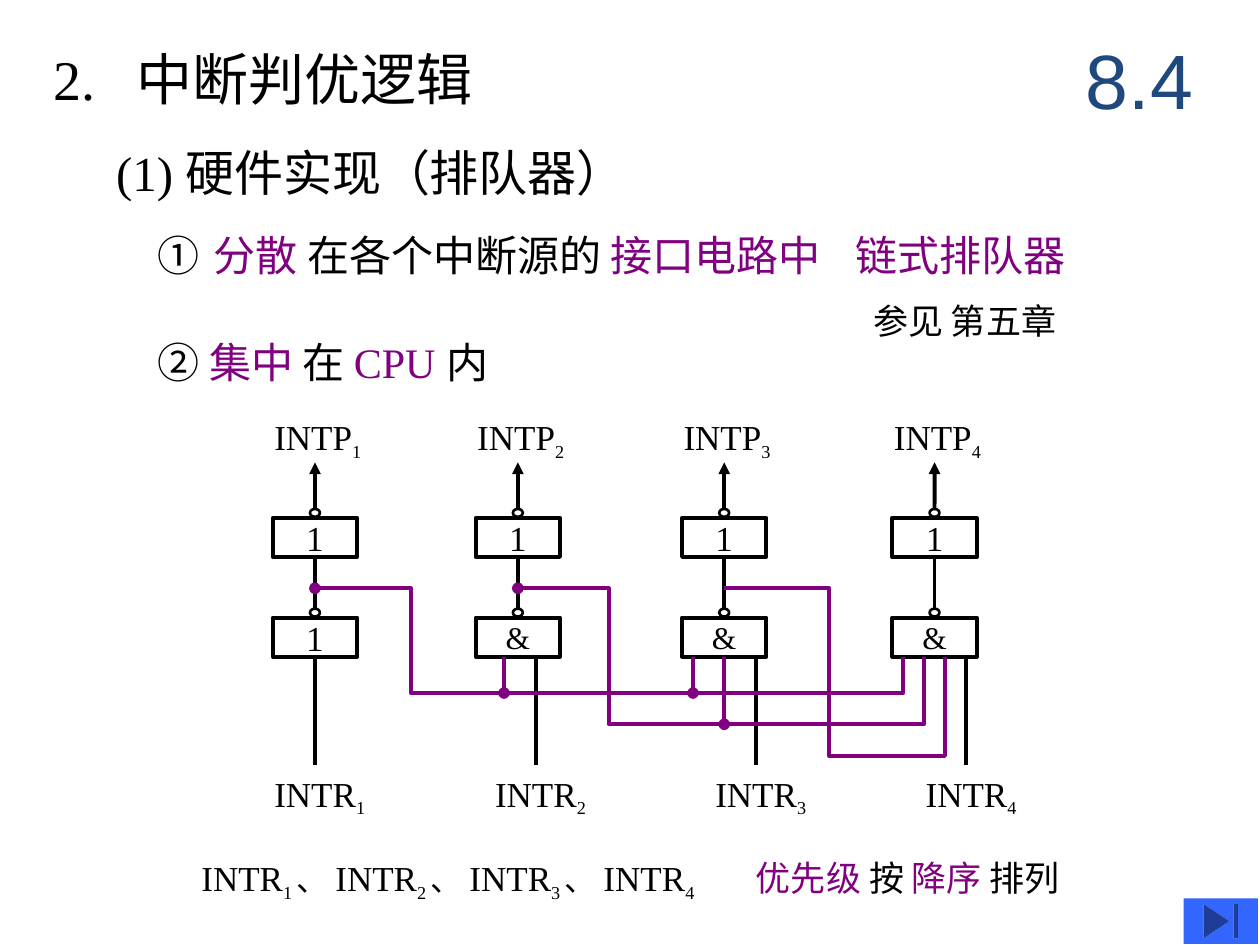
from typing import NamedTuple

from lxml import etree
from pptx import Presentation
from pptx.dml.color import RGBColor
from pptx.enum.shapes import MSO_CONNECTOR, MSO_SHAPE
from pptx.enum.text import MSO_ANCHOR, PP_ALIGN
from pptx.oxml.ns import qn
from pptx.util import Cm, Pt

LINE = MSO_CONNECTOR.STRAIGHT
RECT, OVAL, END = MSO_SHAPE.RECTANGLE, MSO_SHAPE.OVAL, MSO_SHAPE.ACTION_BUTTON_END
TOP, MID = MSO_ANCHOR.TOP, MSO_ANCHOR.MIDDLE
LEFT, MIDDLE = PP_ALIGN.LEFT, PP_ALIGN.CENTER
SIDE_TOP, SIDE_LOW = 0, 2
COLORS = {"ink": "000000", "net": "800080", "title": "1F497D", "button": "3366FF"}
SERIF = "Times New Roman"

# Circuit rows and gate size, in cm
GATE_W, GATE_H = 1.7, 0.79
DOT_W, DOT_H = 0.2, 0.16
UP_Y, LOW_Y = 10.44, 12.45
TIP_Y, FOOT_Y = 9.32, 15.42
TAP_Y = LOW_Y + GATE_H
TEE_Y = 11.86
LABEL_DX = 1.07


class Bit(NamedTuple):
    text: str
    size: float = 20
    color: str = "ink"
    sub: bool = False


class Row(NamedTuple):
    at: tuple[float, float, float, float]
    bits: list[Bit]
    tab: float = 0
    inset: float = 0
    anchor: MSO_ANCHOR = MID


class Stage(NamedTuple):
    x: float
    feed: float
    sign: str
    size: float


class Net(NamedTuple):
    start: float
    bend: float
    bus: float
    end: float
    dot: bool


def rgb(name: str) -> RGBColor:
    return RGBColor.from_string(COLORS[name])


def fill_text(frame, bits: list[Bit], align=LEFT, font: str = SERIF) -> None:
    para = frame.paragraphs[0]
    para.alignment = align
    for bit in bits:
        run = para.add_run()
        run.text = bit.text
        run.font.name, run.font.size = font, Pt(bit.size)
        run.font.color.rgb = rgb(bit.color)
        if bit.sub:
            run.font._element.set("baseline", "-25000")


def add_row(shapes, row: Row) -> None:
    frame = shapes.add_textbox(*map(Cm, row.at)).text_frame
    frame.word_wrap, frame.vertical_anchor = True, row.anchor
    frame.margin_left = frame.margin_right = Cm(row.inset)
    if row.tab:
        props = frame.paragraphs[0]._p.get_or_add_pPr()
        tabs = etree.SubElement(props, qn("a:tabLst"))
        etree.SubElement(tabs, qn("a:tab"), pos=str(Cm(row.tab)), algn="l")
    fill_text(frame, row.bits)


def add_label(shapes, name: str, num: int, x: float, y: float) -> None:
    bits = [Bit(name), Bit(str(num), 18, sub=True)]
    add_row(shapes, Row((x - LABEL_DX, y, 2.97, 1.19), bits, inset=0.25, anchor=TOP))


def style(shape, color: str, width: float) -> None:
    shape.shadow.inherit = False
    shape.fill.background()
    shape.line.color.rgb, shape.line.width = rgb(color), Pt(width)


def add_gate(shapes, x: float, y: float, sign: str, size: float):
    gate = shapes.add_shape(RECT, Cm(x - GATE_W / 2), Cm(y), Cm(GATE_W), Cm(GATE_H))
    style(gate, "ink", 2.25)
    frame = gate.text_frame
    frame.margin_top = frame.margin_bottom = 0
    frame.vertical_anchor = MID
    fill_text(frame, [Bit(sign, size)], MIDDLE)
    dot = shapes.add_shape(OVAL, Cm(x - DOT_W / 2), Cm(y - DOT_H - 0.02), Cm(DOT_W), Cm(DOT_H))
    style(dot, "ink", 1.5)
    return gate, dot


def add_tip(shape, end: str, kind: str) -> None:
    etree.SubElement(shape.line._get_or_add_ln(), qn(f"a:{end}End"), type=kind)


def add_wire(shapes, x: float, top: float, low: float, color: str = "ink", tip: str = ""):
    wire = shapes.add_connector(LINE, Cm(x), Cm(top), Cm(x), Cm(low))
    wire.line.color.rgb, wire.line.width = rgb(color), Pt(2.25)
    if tip:
        add_tip(wire, "tail", tip)
    etree.SubElement(wire._element.spPr, qn("a:effectLst"))
    return wire


def add_stage(shapes, num: int, stage: Stage):
    x = stage.x
    upper, out = add_gate(shapes, x, UP_Y, "1", 20)
    lower, mid = add_gate(shapes, x, LOW_Y, stage.sign, stage.size)
    arrow = add_wire(shapes, x, UP_Y - DOT_H, TIP_Y, tip="triangle")
    arrow.begin_connect(out, SIDE_TOP)
    link = add_wire(shapes, x, UP_Y + GATE_H, LOW_Y - DOT_H)
    link.begin_connect(upper, SIDE_LOW)
    link.end_connect(mid, SIDE_TOP)
    feed = add_wire(shapes, stage.feed, TAP_Y, FOOT_Y)
    if stage.feed == x:
        feed.begin_connect(lower, SIDE_LOW)
    add_label(shapes, "INTP", num, x, 8.26)
    add_label(shapes, "INTR", num, stage.feed, 15.44)
    return lower


def add_net(shapes, net: Net) -> None:
    pen = shapes.build_freeform(Cm(net.start), Cm(TEE_Y))
    points = [(net.bend, TEE_Y), (net.bend, net.bus), (net.end, net.bus), (net.end, TAP_Y)]
    pen.add_line_segments([(Cm(x), Cm(y)) for x, y in points], close=False)
    path = pen.convert_to_shape()
    style(path, "net", 2.25)
    if net.dot:
        add_tip(path, "head", "oval")


ROWS = [
    Row((1.07, 0.84, 10.8, 1.47), [Bit("2.\t中断判优逻辑", 32)], tab=1.68),
    Row((2.34, 2.74, 14.6, 1.47), [Bit("(1) 硬件实现（排队器）", 28)]),
    Row((3.18, 4.24, 20.95, 1.47), [
        Bit("①", 24), Bit(" ", 36), Bit("分散 ", 24, "net"), Bit("在各个中断源的 ", 24),
        Bit("接口电路中\t链式排队器", 24, "net")], tab=14.07),
    Row((3.18, 6.55, 14.6, 1.47), [
        Bit("② ", 24), Bit("集中 ", 24, "net"), Bit("在 ", 24),
        Bit("CPU ", 24, "net"), Bit("内", 24)]),
    Row((17.35, 5.92, 6.55, 1.12), [Bit("参见 第五章")], inset=0.25, anchor=TOP),
]
STAGES = [Stage(6.35, 6.35, "1", 20), Stage(10.44, 10.8, "&", 18),
          Stage(14.6, 15.24, "&", 18), Stage(18.84, 19.48, "&", 18)]
NETS = [Net(6.35, 8.28, 13.97, 18.21, True), Net(10.44, 12.27, 14.6, 18.63, True),
        Net(14.6, 16.72, 15.24, 19.05, False)]
TAPS = [(10.16, 13.97), (13.97, 13.97), (14.6, 14.6)]


def main() -> None:
    deck = Presentation()
    deck.slide_width, deck.slide_height = Cm(25.4), Cm(19.05)
    slide = deck.slides.add_slide(deck.slide_layouts[5])
    shapes = slide.shapes

    # Section number
    title = shapes.title
    title.left, title.top, title.width, title.height = map(Cm, (21.38, 0.42, 3.18, 2.33))
    title.text_frame.vertical_anchor = MID
    fill_text(title.text_frame, [Bit("8.4", 44, "title")], MIDDLE, "Arial")

    # Outline text
    for row in ROWS:
        add_row(shapes, row)

    # Gates with their inputs and outputs
    gates = {stage.x: add_stage(shapes, num, stage) for num, stage in enumerate(STAGES, 1)}

    # Priority nets and their taps
    for net in NETS:
        add_net(shapes, net)
    for x, bus in TAPS:
        tap = add_wire(shapes, x, TAP_Y, bus, "net", "oval")
        if x in gates:
            tap.begin_connect(gates[x], SIDE_LOW)

    # Priority order
    bits = []
    for num in range(1, 5):
        last = num == 4
        bits += [Bit("INTR"), Bit(str(num) if last else f"{num} ", 18, sub=True)]
        if not last:
            bits.append(Bit("、 ", 18))
    bits += [Bit("\t优先级 ", color="net"), Bit("按 "), Bit("降序 ", color="net"), Bit("排列")]
    add_row(shapes, Row((3.81, 17.15, 19.69, 1.19), bits, tab=11.18, inset=0.25, anchor=TOP))

    # Jump button
    button = shapes.add_shape(END, Cm(23.86), Cm(18.11), Cm(1.5), Cm(0.92))
    button.shadow.inherit = False
    button.fill.solid()
    button.fill.fore_color.rgb = rgb("button")
    button.line.fill.background()

    deck.save("out.pptx")


if __name__ == "__main__":
    main()
